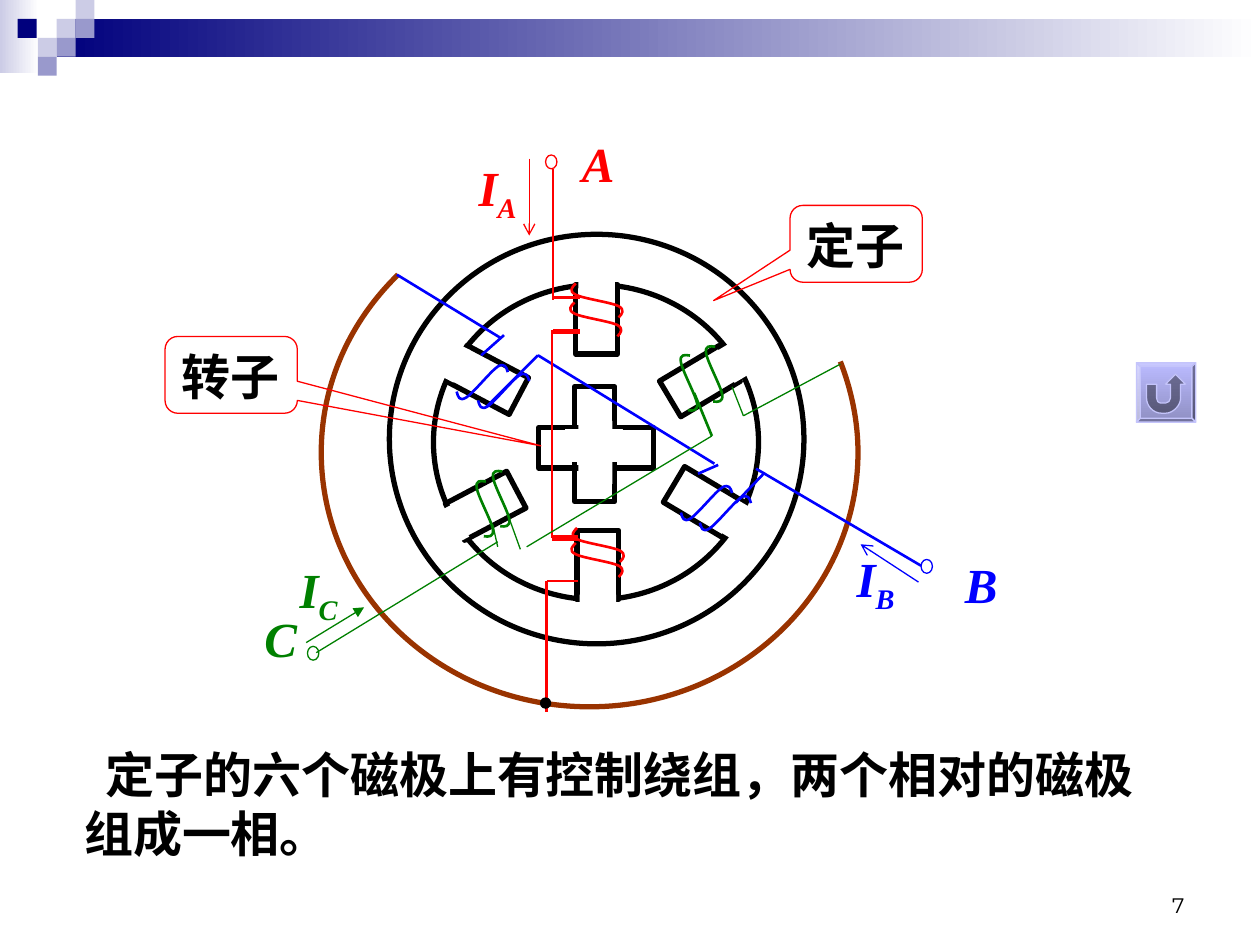
"""Build a slide on the stator poles and control windings of a stepper motor."""
from dataclasses import dataclass

from lxml.etree import SubElement
from pptx import Presentation
from pptx.dml.color import RGBColor
from pptx.enum.shapes import MSO_CONNECTOR, MSO_SHAPE
from pptx.enum.text import MSO_ANCHOR, PP_ALIGN
from pptx.oxml.ns import qn
from pptx.util import Inches, Pt


@dataclass(frozen=True)
class Theme:
    black: str = "000000"
    white: str = "FFFFFF"
    red: str = "FF0000"
    green: str = "008000"
    blue: str = "0000FF"
    brown: str = "993300"
    navy: str = "00007D"
    pale: str = "CCCCE6"
    lilac: str = "9999CC"
    button_dark: str = "8F8FC3"
    button_light: str = "BBBBFF"
    button_line: str = "C4C4FB"
    cjk: str = "Noto Sans CJK SC"
    serif: str = "Times New Roman"
    sans: str = "Montserrat"
    big: int = 28
    small: int = 12
    thin: float = 0.75
    wire: float = 1.5
    thick: float = 3


T = Theme()
prs = Presentation()
prs.slide_width, prs.slide_height = Inches(10), Inches(7.5)
s = prs.slides.add_slide(prs.slide_layouts[6])


def paint(sp, fill=None, line=None, width=T.thin, angle=0):
    sp.shadow.inherit = False
    if isinstance(fill, tuple):
        sp.fill.gradient()
        sp.fill.gradient_angle = angle
        for stop, color, position in zip(sp.fill.gradient_stops, fill, (0, 1)):
            stop.color.rgb = RGBColor.from_string(color)
            stop.position = position
    elif fill:
        sp.fill.solid()
        sp.fill.fore_color.rgb = RGBColor.from_string(fill)
    else:
        sp.fill.background()
    if line:
        sp.line.color.rgb = RGBColor.from_string(line)
        sp.line.width = Pt(width)
    else:
        sp.line.fill.background()


def text(sp, content, sub="", size=T.big, color=T.black, font=T.cjk, bold=True, italic=False,
         align=PP_ALIGN.LEFT, anchor=MSO_ANCHOR.TOP, wrap=True, indent=0, spacing=None):
    tf = sp.text_frame
    tf.word_wrap = wrap
    tf.vertical_anchor = anchor
    p = tf.paragraphs[0]
    p.alignment = align
    if spacing:
        p.line_spacing = Pt(spacing)
    if indent:
        p._p.get_or_add_pPr().set("indent", str(Inches(indent)))
    for part, baseline in ((content, 0), (sub, -25000)):
        if part:
            r = p.add_run()
            r.text = part
            r.font.size, r.font.bold, r.font.italic = Pt(size), bold, italic
            r.font.name = font
            r.font.color.rgb = RGBColor.from_string(color)
            rPr = r._r.get_or_add_rPr()
            SubElement(rPr, qn("a:ea")).set("typeface", font)
            if baseline:
                rPr.set("baseline", str(baseline))


RECT, OVAL = MSO_SHAPE.RECTANGLE, MSO_SHAPE.OVAL
shapes = [
    (RECT, 0, 0, 0.31, 0.58, 0, (T.pale, T.white), None, 0),
    (RECT, 0.45, 0.15, 9.55, 0.3, 0, (T.navy, T.white), None, 0),
]
for x, y, color in [(0.45, 0.15, T.pale), (0.6, 0, T.pale), (0.6, 0.15, T.lilac), (0.3, 0.3, T.pale),
                    (0.14, 0.15, T.navy), (0.45, 0.3, T.lilac), (0.3, 0.45, T.lilac)]:
    shapes.append((RECT, x, y, 0.15, 0.15, 0, color, None, 0))
shapes += [
    (OVAL, 3.44, 2.26, 2.58, 2.5, 0, None, T.black, T.thick),
    (OVAL, 3.09, 1.86, 3.29, 3.25, 0, None, T.black, T.thick),
]
poles = [(4.57, 2.26, 4.59, 2.07, 0), (4.58, 4.21, 4.6, 4.72, 0), (5.39, 2.75, 5.71, 2.74, 239.2),
         (3.71, 2.74, 3.42, 2.74, 297.8), (5.42, 3.71, 5.74, 4.04, 120.8), (3.69, 3.74, 3.41, 4.07, 62.2)]
for x, y, gap_x, gap_y, turn in poles:
    shapes.append((RECT, x, y, 0.33, 0.55, turn, None, T.black, T.thick))
    shapes.append((RECT, gap_x, gap_y, 0.29, 0.23, turn, T.white, None, 0))
shapes += [
    (RECT, 4.56, 3.07, 0.32, 0.91, 0, None, T.black, T.thick),
    (RECT, 4.57, 3.1, 0.32, 0.91, 270, None, T.black, T.thick),
    (RECT, 4.59, 3.34, 0.27, 0.5, 0, T.white, None, 0),
    (RECT, 4.49, 3.41, 0.45, 0.25, 0, T.white, T.white, T.thin),
    (OVAL, 2.44, 5.13, 0.09, 0.11, 0, None, T.green, T.thin),
    (OVAL, 7.31, 4.44, 0.09, 0.11, 0, None, T.blue, T.thin),
    (OVAL, 4.33, 1.23, 0.09, 0.11, 0, None, T.red, T.thin),
]
for kind, x, y, w, h, turn, fill, line, width in shapes:
    sp = s.shapes.add_shape(kind, Inches(x), Inches(y), Inches(w), Inches(h))
    sp.rotation = turn
    paint(sp, fill, line, width)

COIL = [(0.06, 0), (0.03, 0.03), (0, 0.06), (0.06, 0.09), (0.12, 0.12), (0.34, 0.15),
        (0.4, 0.18), (0.45, 0.21), (0.43, 0.24), (0.4, 0.27)]
RING = [(3.16, 2.18), (2.77, 2.56), (2.55, 3.06), (2.55, 3.59), (2.55, 4.71), (3.5, 5.61), (4.68, 5.61),
        (5.85, 5.61), (6.81, 4.71), (6.81, 3.59), (6.81, 3.35), (6.76, 3.1), (6.67, 2.87)]
coils = [(T.red, 0, [(4.51, 2.25), (4.5, 2.4), (4.52, 4.19), (4.51, 4.31)]),
         (T.green, 53.7, [(5.44, 2.83), (5.24, 2.9), (3.75, 3.82), (3.62, 3.9)]),
         (T.blue, 300.7, [(3.6, 2.9), (5.38, 3.86), (5.53, 3.94), (3.77, 2.97)])]
curves = [(COIL, x, y, turn, color, T.wire) for color, turn, places in coils for x, y in places]
curves.append((RING, 0, 0, 0, T.brown, T.thick))
for points, x, y, turn, color, width in curves:
    trace = [(Inches(x + px), Inches(y + py)) for px, py in points]
    builder = s.shapes.build_freeform(*trace[0])
    builder.add_line_segments(trace[1:], close=False)
    sp = builder.convert_to_shape()
    sp.rotation = turn
    outline = next(sp._element.iter(qn("a:path")))
    segments = outline.findall(qn("a:lnTo"))
    for i in range(0, len(segments), 3):
        bezier = SubElement(outline, qn("a:cubicBezTo"))
        for segment in segments[i:i + 3]:
            bezier.append(segment[0])
            outline.remove(segment)
    paint(sp, None, color, width)

wires = [
    (T.blue, T.wire, [(5.54, 3.76, 5.7, 3.69), (3.86, 3.23, 4.27, 2.82), (4.27, 2.82, 5.67, 3.68),
                      (5.84, 3.99, 6.07, 3.75), (6, 3.72, 7.31, 4.49), (3.15, 2.18, 3.97, 2.68),
                      (4, 2.66, 3.82, 2.82)], None),
    (T.red, T.thick, [(4.38, 4.27, 4.59, 4.27), (4.39, 2.63, 4.6, 2.63)], None),
    (T.red, T.wire, [(4.34, 4.61, 4.59, 4.61), (4.34, 4.61, 4.34, 5.65), (4.38, 2.62, 4.38, 4.27),
                     (4.4, 2.36, 4.6, 2.36), (4.39, 1.34, 4.39, 2.38)], None),
    (T.green, T.thin, [(4.04, 4.11, 4.13, 4.36), (4.18, 4.34, 5.65, 3.46), (5.81, 3.07, 5.9, 3.3),
                       (5.9, 3.3, 6.67, 2.89), (3.95, 4.3, 2.51, 5.18), (3.91, 4.16, 3.95, 4.34)], None),
    (T.green, T.wire, [(5.51, 3.12, 5.65, 3.46)], None),
    (T.red, T.thin, [(4.2, 1.26, 4.2, 1.87)], "arrow"),
    (T.green, T.thin, [(2.43, 5.1, 2.89, 4.82)], "triangle"),
    (T.blue, T.thin, [(7.29, 4.62, 6.83, 4.32)], "arrow"),
]
for color, width, runs, arrow in wires:
    for ends in runs:
        line = s.shapes.add_connector(MSO_CONNECTOR.STRAIGHT, *map(Inches, ends))
        line.line.color.rgb = RGBColor.from_string(color)
        line.line.width = Pt(width)
        if arrow:
            SubElement(line.line._get_or_add_ln(), qn("a:tailEnd")).set("type", arrow)
        SubElement(line._element.spPr, qn("a:effectLst"))

node = s.shapes.add_shape(OVAL, Inches(4.29), Inches(5.54), Inches(0.08), Inches(0.08))
paint(node, T.black, T.black)

for x, y, label, tip in [(6.27, 1.63, "定子", (-1.078, 0.739)), (1.31, 2.67, "转子", (2.341, 0.924))]:
    sp = s.shapes.add_shape(MSO_SHAPE.ROUNDED_RECTANGULAR_CALLOUT, Inches(x), Inches(y), Inches(1.05), Inches(0.61))
    sp.adjustments[0], sp.adjustments[1] = tip
    paint(sp, None, T.red)
    text(sp, label, wrap=False, spacing=33.6)

labels = [(4.52, 1.01, 0.68, 0.57, "A", "", T.red), (7.56, 4.35, 0.68, 0.57, "B", "", T.blue),
          (2, 4.78, 0.68, 0.57, "C", "", T.green), (3.7, 1.2, 0.73, 0.63, "I", "A", T.red),
          (6.7, 4.3, 0.73, 0.63, "I", "B", T.blue), (2.28, 4.39, 0.5, 0.63, "I", "C", T.green)]
for x, y, w, h, letter, sub, color in labels:
    sp = s.shapes.add_textbox(Inches(x), Inches(y), Inches(w), Inches(h))
    text(sp, letter, sub, color=color, font=T.serif, italic=True)

caption = s.shapes.add_textbox(Inches(0.57), Inches(5.86), Inches(8.86), Inches(1.04))
text(caption, "定子的六个磁极上有控制绕组，两个相对的磁极组成一相。", indent=0.17, spacing=33.6)

number = s.shapes.add_textbox(Inches(7.17), Inches(6.83), Inches(2.33), Inches(0.5))
text(number, "7", size=T.small, font=T.sans, bold=False, align=PP_ALIGN.RIGHT, anchor=MSO_ANCHOR.BOTTOM)

OUTER, INNER = [(0, 0), (47, 0), (47, 47), (0, 47)], [(3, 3), (44, 3), (44, 44), (3, 44)]
faces = [("norm", [("moveTo", OUTER[:1])] + [("lnTo", [q]) for q in OUTER[1:]])]
for i, shade in enumerate(("lightenLess", "darken", "darkenLess", "lighten")):
    j = (i + 1) % 4
    faces.append((shade, [("moveTo", [OUTER[i]])] + [("lnTo", [q]) for q in (OUTER[j], INNER[j], INNER[i])]))
faces.append(("darken", [
    ("moveTo", [(8, 17)]), ("lnTo", [(16, 17)]), ("lnTo", [(16, 28)]), ("cubicBezTo", [(16, 30), (17, 32), (20, 32)]),
    ("lnTo", [(23, 32)]), ("cubicBezTo", [(25, 32), (27, 30), (27, 28)]), ("lnTo", [(27, 17)]), ("lnTo", [(23, 17)]),
    ("lnTo", [(31, 9)]), ("lnTo", [(39, 17)]), ("lnTo", [(35, 17)]), ("lnTo", [(35, 28)]),
    ("cubicBezTo", [(35, 34), (29, 40), (23, 40)]), ("lnTo", [(20, 40)]), ("cubicBezTo", [(13, 40), (8, 34), (8, 28)])]))
builder = s.shapes.build_freeform(Inches(9.02), Inches(2.88))
builder.add_line_segments([(Inches(9.02 + x / 100), Inches(2.88 + y / 100)) for x, y in OUTER[1:]])
button = builder.convert_to_shape()
paint(button, (T.button_dark, T.button_light), T.button_line, angle=90)
outlines = next(button._element.iter(qn("a:pathLst")))
outlines.remove(outlines[0])
for shade, steps in faces:
    face = SubElement(outlines, qn("a:path"), w="47", h="47", fill=shade)
    for step, points in steps:
        command = SubElement(face, qn("a:" + step))
        for x, y in points:
            SubElement(command, qn("a:pt"), x=str(x), y=str(y))
    SubElement(face, qn("a:close"))

prs.save("out.pptx")
